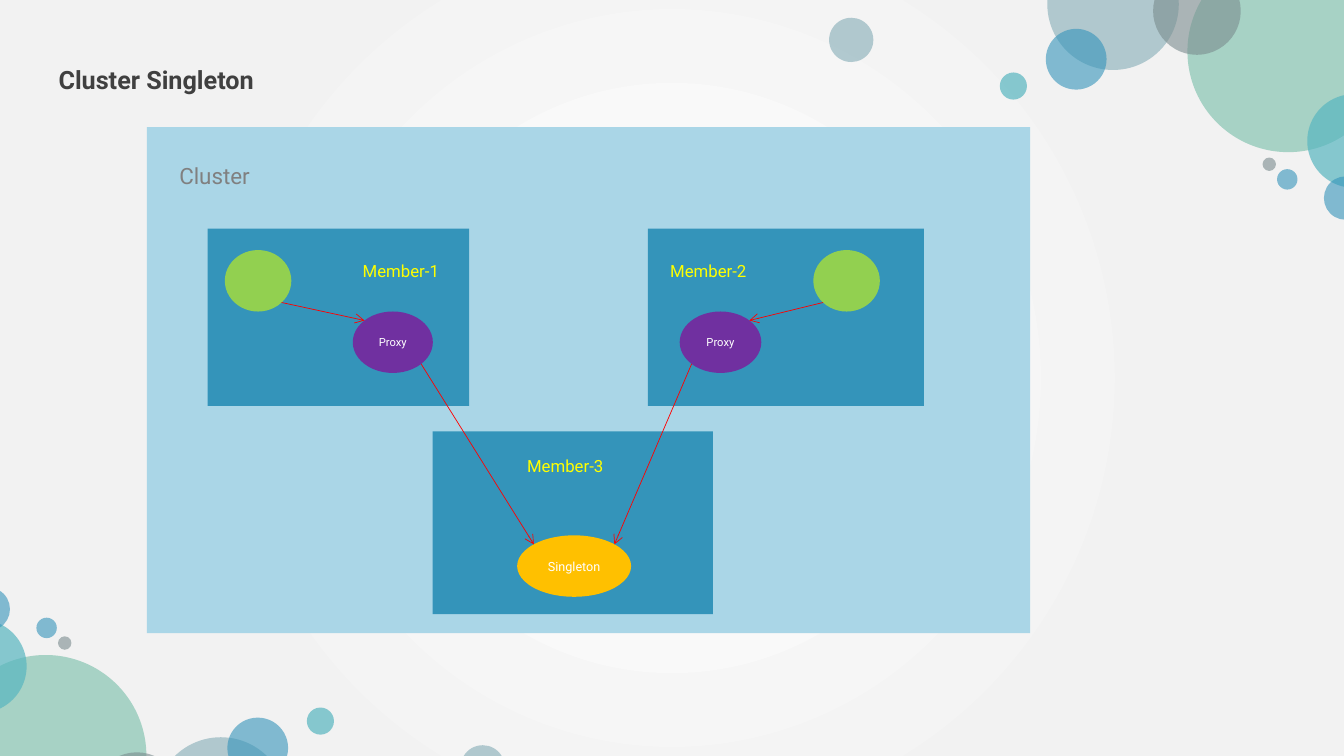
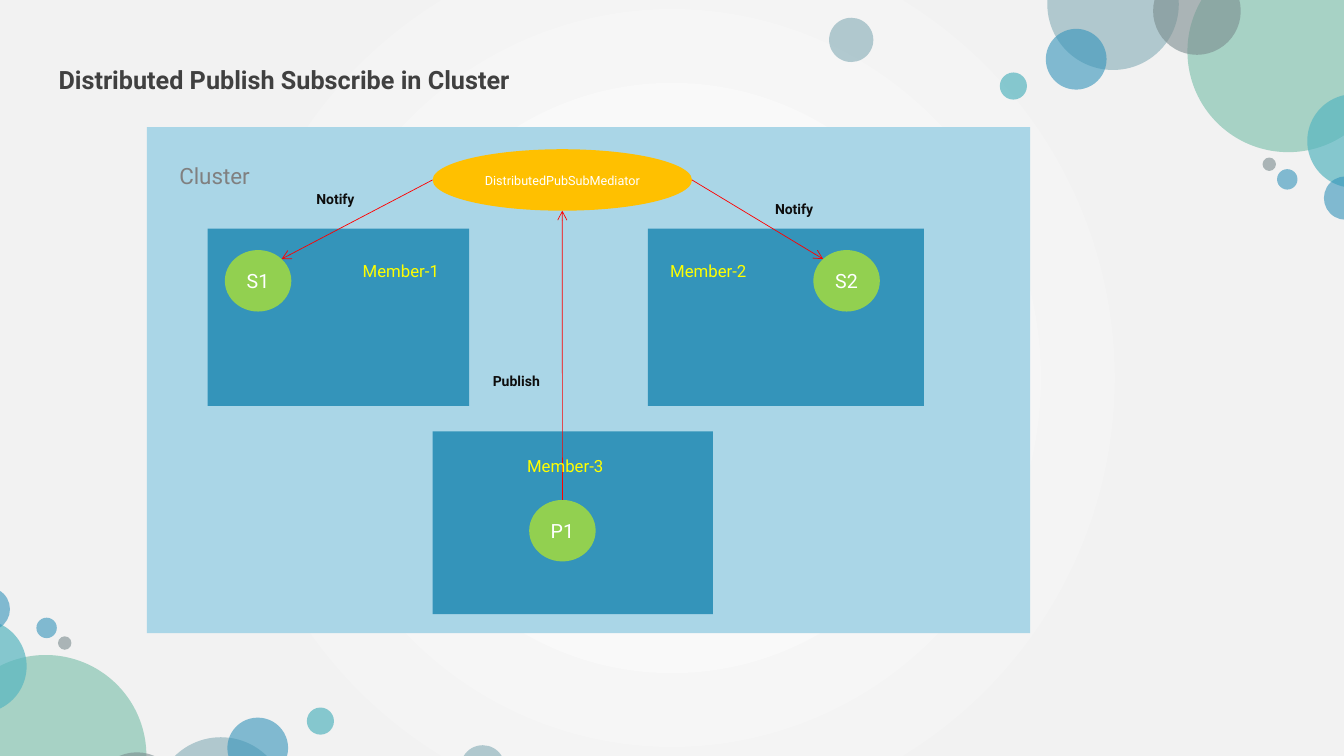
from dataclasses import dataclass
from typing import NamedTuple

from lxml import etree
from pptx import Presentation
from pptx import util as u
from pptx.dml.color import RGBColor
from pptx.enum import shapes, text
from pptx.oxml.ns import qn
from pptx.shapes import shapetree

SLIDE_WIDTH, SLIDE_HEIGHT = 960, 540


@dataclass(frozen=True)
class Theme:
    font: str = "Roboto"
    white: str = "FFFFFF"
    backdrop: str = "F2F2F2"
    title: str = "404040"
    cluster: str = "AAD6E7"
    cluster_label: str = "808080"
    blue: str = "3494BA"
    member_label: str = "FFFF00"
    actor: str = "92D050"
    proxy: str = "7030A0"
    hub: str = "FFC000"
    arrow: str = "FF0000"
    message: str = "0D0D0D"
    mist: str = "84ACB6"
    mint: str = "75BDA7"
    slate: str = "7A8C8E"
    teal: str = "58B6C0"
    title_size: float = 18
    cluster_size: float = 16
    actor_size: float = 14
    member_size: float = 12
    message_size: float = 10
    hub_size: float = 9
    proxy_size: float = 8
    arrow_width: float = 0.5


THEME = Theme()


class Box(NamedTuple):
    left: float
    top: float
    width: float
    height: float

    def site(self, across: int, down: int) -> tuple[float, float]:
        reach = 0.5 / (across * across + down * down) ** 0.5
        return (self.left + self.width * (0.5 + across * reach),
                self.top + self.height * (0.5 + down * reach))


class Bubble(NamedTuple):
    left: float
    top: float
    size: float
    color: str
    alpha: int = 60


class Member(NamedTuple):
    name: str
    box: Box
    label: Box


class Node(NamedTuple):
    label: str
    box: Box
    color: str
    size: float


class Arrow(NamedTuple):
    start: Node
    start_site: tuple[int, int]
    end: Node
    end_site: tuple[int, int]


class Message(NamedTuple):
    name: str
    left: float
    top: float


class Diagram(NamedTuple):
    title: str
    title_width: float
    nodes: list[Node]
    arrows: list[Arrow]
    messages: list[Message]


BUBBLES = [
    Bubble(748.1, -43.9, 93.9, THEME.mist),
    Bubble(848.2, -35.3, 144, THEME.mint),
    Bubble(823.7, -23.4, 62.6, THEME.slate),
    Bubble(747, 20.6, 43.4, THEME.blue),
    Bubble(933.8, 67.2, 67, THEME.teal, 70),
    Bubble(714.2, 51.8, 19.4, THEME.teal, 70),
    Bubble(945.7, 126, 31, THEME.blue),
    Bubble(912.2, 120.8, 14.6, THEME.blue),
    Bubble(901.8, 112.5, 9.6, THEME.slate),
    Bubble(592.2, 12.7, 31.6, THEME.mist),
]
TURN_X, TURN_Y = 952.8, 576.6

CLUSTER = Box(105, 90.8, 630.8, 361.4)
CLUSTER_LABEL = Box(121, 106.6, 75, 29.5)
UPPER, LOWER = 163.4, 308.2
ACTOR_TOP, PROXY_TOP = 178.6, 222.5
NODE_HEIGHT, ACTOR_WIDTH = 43.9, 47.5
LABEL_WIDTH, LABEL_HEIGHT = 75, 24.5

MEMBERS = [
    Member("Member-1", Box(148.3, UPPER, 186.8, 126.5),
           Box(252, ACTOR_TOP, LABEL_WIDTH, LABEL_HEIGHT)),
    Member("Member-2", Box(462.8, UPPER, 197.2, 126.5),
           Box(471.6, ACTOR_TOP, LABEL_WIDTH, LABEL_HEIGHT)),
    Member("Member-3", Box(309, LOWER, 200.2, 130.5),
           Box(369.4, 317.5, LABEL_WIDTH, LABEL_HEIGHT)),
]


def actor(label: str, left: float, top: float = ACTOR_TOP) -> Node:
    return Node(label, Box(left, top, ACTOR_WIDTH, NODE_HEIGHT),
                THEME.actor, THEME.actor_size)


def proxy(left: float, width: float) -> Node:
    return Node("Proxy", Box(left, PROXY_TOP, width, NODE_HEIGHT),
                THEME.proxy, THEME.proxy_size)


def hub(label: str, left: float, top: float, width: float) -> Node:
    return Node(label, Box(left, top, width, NODE_HEIGHT),
                THEME.hub, THEME.hub_size)


def singleton_diagram() -> Diagram:
    first, second = actor("", 160.6), actor("", 581)
    left_proxy, right_proxy = proxy(252, 57.2), proxy(485.5, 58.3)
    singleton = hub("Singleton", 369.4, 382.4, 81.4)
    return Diagram(
        "Cluster Singleton", 267.8,
        [first, second, singleton, left_proxy, right_proxy],
        [Arrow(first, (1, 1), left_proxy, (-1, -1)),
         Arrow(second, (-1, 1), right_proxy, (1, -1)),
         Arrow(left_proxy, (1, 1), singleton, (-1, -1)),
         Arrow(right_proxy, (-1, 1), singleton, (1, -1))],
        [])


def publish_diagram() -> Diagram:
    first, second = actor("S1", 160.6), actor("S2", 581)
    publisher = actor("P1", 378, 357.1)
    mediator = hub("DistributedPubSubMediator", 309, 106.6, 185.3)
    return Diagram(
        "Distributed Publish Subscribe in Cluster", 361.4,
        [first, second, mediator, publisher],
        [Arrow(mediator, (-1, 0), first, (1, -1)),
         Arrow(publisher, (0, -1), mediator, (0, 1)),
         Arrow(mediator, (1, 0), second, (-1, -1))],
        [Message("Publish", 344.9, 259.2),
         Message("Notify", 218.9, 128.9),
         Message("Notify", 546.5, 136.1)])


def place(box: Box) -> list[u.Length]:
    return [u.Pt(length) for length in box]


def write(shape, words: str, *, size: float, color: str, bold: bool = False,
          align=text.PP_ALIGN.LEFT, anchor=text.MSO_ANCHOR.TOP,
          spacing: float = 1, before: float = 0,
          fit=text.MSO_AUTO_SIZE.NONE) -> None:
    frame = shape.text_frame
    frame.word_wrap = True
    frame.auto_size = fit
    frame.vertical_anchor = anchor
    paragraph = frame.paragraphs[0]
    paragraph.alignment = align
    paragraph.line_spacing = spacing
    paragraph.space_before = u.Pt(before)
    run = paragraph.add_run()
    run.text = words
    run.font.name = THEME.font
    run.font.size = u.Pt(size)
    run.font.bold = bold
    run.font.color.rgb = RGBColor.from_string(color)


def draw_shape(tree, kind, box: Box, color: str, alpha: int = 100):
    shape = tree.add_shape(kind, *place(box))
    shape.shadow.inherit = False
    shape.fill.solid()
    shape.fill.fore_color.rgb = RGBColor.from_string(color)
    shape.line.fill.background()
    if alpha < 100:
        tint = shape.element.spPr.find(qn("a:solidFill"))[0]
        etree.SubElement(tint, qn("a:alpha"), val=str(alpha * 1000))
    return shape


def draw_label(tree, words: str, box: Box, *, size: float, color: str,
               bold: bool = False) -> None:
    write(tree.add_textbox(*place(box)), words, size=size, color=color,
          bold=bold, spacing=1.3, fit=text.MSO_AUTO_SIZE.SHAPE_TO_FIT_TEXT)


def draw_node(tree, node: Node) -> None:
    oval = draw_shape(tree, shapes.MSO_SHAPE.OVAL, node.box, node.color)
    if node.label:
        write(oval, node.label, size=node.size, color=THEME.white,
              align=text.PP_ALIGN.CENTER, anchor=text.MSO_ANCHOR.MIDDLE)


def draw_arrow(tree, arrow: Arrow) -> None:
    ends = (*arrow.start.box.site(*arrow.start_site),
            *arrow.end.box.site(*arrow.end_site))
    line = tree.add_connector(shapes.MSO_CONNECTOR.STRAIGHT,
                              *(u.Pt(end) for end in ends))
    line.line.color.rgb = RGBColor.from_string(THEME.arrow)
    line.line.width = u.Pt(THEME.arrow_width)
    properties = line.element.spPr
    etree.SubElement(properties.find(qn("a:ln")), qn("a:tailEnd"), type="arrow")
    etree.SubElement(properties, qn("a:effectLst"))


def paint_background(layout) -> None:
    layout.background.fill.gradient()
    gradient = next(layout.element.iter(qn("a:gradFill")))
    for part in list(gradient):
        gradient.remove(part)
    stops = etree.SubElement(gradient, qn("a:gsLst"))
    for position, color in ((0, THEME.white), (67, THEME.backdrop),
                            (100, THEME.backdrop)):
        stop = etree.SubElement(stops, qn("a:gs"), pos=str(position * 1000))
        etree.SubElement(stop, qn("a:srgbClr"), val=color)
    circle = etree.SubElement(gradient, qn("a:path"), {"path": "circle"})
    etree.SubElement(circle, qn("a:fillToRect"),
                     {side: "50000" for side in "ltrb"})


def decorate(layout) -> None:
    paint_background(layout)
    tree = shapetree.SlideShapes(layout.shapes.element, layout)
    turned = [bubble._replace(left=TURN_X - bubble.left - bubble.size,
                              top=TURN_Y - bubble.top - bubble.size)
              for bubble in BUBBLES]
    for left, top, size, color, alpha in BUBBLES + turned:
        draw_shape(tree, shapes.MSO_SHAPE.OVAL, Box(left, top, size, size),
                   color, alpha)


def draw_diagram(slide, diagram: Diagram) -> None:
    tree = slide.shapes
    title = tree.title
    title.left, title.top, title.width, title.height = place(
        Box(34.6, 36, diagram.title_width, 31.7))
    write(title, diagram.title, size=THEME.title_size, color=THEME.title,
          bold=True, spacing=1.3, before=10)
    draw_shape(tree, shapes.MSO_SHAPE.RECTANGLE, CLUSTER, THEME.cluster)
    draw_label(tree, "Cluster", CLUSTER_LABEL, size=THEME.cluster_size,
               color=THEME.cluster_label)
    for member in MEMBERS:
        draw_shape(tree, shapes.MSO_SHAPE.RECTANGLE, member.box, THEME.blue)
    for node in diagram.nodes:
        draw_node(tree, node)
    for arrow in diagram.arrows:
        draw_arrow(tree, arrow)
    for member in MEMBERS:
        draw_label(tree, member.name, member.label, size=THEME.member_size,
                   color=THEME.member_label)
    for name, left, top in diagram.messages:
        draw_label(tree, name, Box(left, top, 65.5, 21.6),
                   size=THEME.message_size, color=THEME.message, bold=True)


def main() -> None:
    deck = Presentation()
    deck.slide_width, deck.slide_height = u.Pt(SLIDE_WIDTH), u.Pt(SLIDE_HEIGHT)
    layout = deck.slide_layouts.get_by_name("Title Only")
    decorate(layout)
    for diagram in (singleton_diagram(), publish_diagram()):
        draw_diagram(deck.slides.add_slide(layout), diagram)
    deck.save("out.pptx")


if __name__ == "__main__":
    main()
